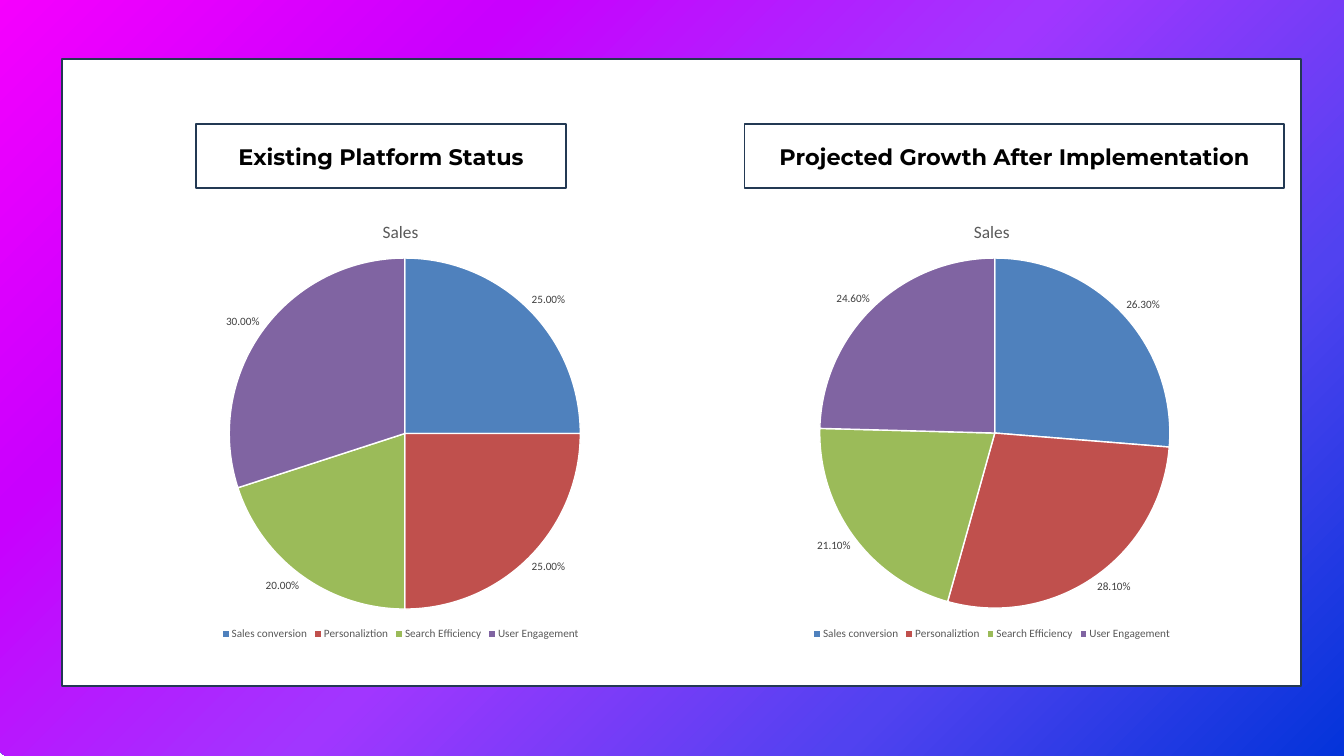
from lxml import etree
from pptx import Presentation
from pptx import util as u
from pptx.chart.data import CategoryChartData
from pptx.dml.color import RGBColor
from pptx.enum import chart as charts, shapes, text
from pptx.oxml import ns

COLORS = {
    "panel": "FFFFFF", "outline": "233953", "heading": "000000",
    "caption": "595959", "label": "404040",
}
GRADIENT = ["F600FE", "C900FE", "A136FF", "5142F0", "0033D9"]
SLICES = ["4F81BD", "C0504D", "9BBB59", "8064A2"]
METRICS = ["Sales conversion", "Personaliztion", "Search Efficiency", "User Engagement"]
COMPARISON = [
    {"heading": "Existing Platform Status", "heading_box": (2.92, 1.85, 5.5, 0.95),
     "pie_box": (1.75, 3.04, 8.42, 6.53), "shares": [0.25, 0.25, 0.2, 0.3]},
    {"heading": "Projected Growth After Implementation", "heading_box": (11.08, 1.85, 8.03, 0.95),
     "pie_box": (10.46, 3.04, 8.6, 6.53), "shares": [0.263, 0.281, 0.211, 0.246]},
]


def rgb(name):
    """Return the named colour."""
    return RGBColor.from_string(COLORS[name])


def format_font(font, color, **values):
    """Set the font colour and every given font attribute."""
    font.color.rgb = rgb(color)
    for attribute, value in values.items():
        setattr(font, attribute, value)


def add_backdrop(slide, box):
    """Fill the box with a gradient that spreads from its top left corner."""
    backdrop = slide.shapes.add_shape(
        shapes.MSO_SHAPE.ROUNDED_RECTANGLE, *map(u.Inches, box))
    backdrop.adjustments[0] = 0.01
    backdrop.shadow.inherit = False
    backdrop.line.fill.background()
    backdrop.fill.gradient()
    gradient = backdrop.fill._fill._gradFill
    for part in list(gradient):
        gradient.remove(part)
    stops = etree.SubElement(gradient, ns.qn("a:gsLst"))
    for index, color in enumerate(GRADIENT):
        stop = etree.SubElement(stops, ns.qn("a:gs"), pos=str(index * 25000))
        etree.SubElement(stop, ns.qn("a:srgbClr"), val=color)
    spread = etree.SubElement(gradient, ns.qn("a:path"), {"path": "circle"})
    etree.SubElement(spread, ns.qn("a:fillToRect"), r="100000", b="100000")


def add_panel(slide, box):
    """Add a white outlined rectangle and return it."""
    panel = slide.shapes.add_shape(shapes.MSO_SHAPE.RECTANGLE, *map(u.Inches, box))
    panel.shadow.inherit = False
    panel.fill.solid()
    panel.fill.fore_color.rgb = rgb("panel")
    panel.line.color.rgb = rgb("outline")
    panel.line.width = u.Pt(2)
    return panel


def add_heading(slide, box, wording):
    """Add a panel with a centred bold heading."""
    frame = add_panel(slide, box).text_frame
    frame.vertical_anchor = text.MSO_ANCHOR.MIDDLE
    frame.word_wrap = True
    paragraph = frame.paragraphs[0]
    paragraph.alignment = text.PP_ALIGN.CENTER
    run = paragraph.add_run()
    run.text = wording
    format_font(run.font, "heading", name="Montserrat", size=u.Pt(24), bold=True)


def add_sales_pie(slide, box, shares):
    """Add a pie of the sales metrics with a title, labels and a legend."""
    sales = CategoryChartData(number_format="0.00%")
    sales.categories = METRICS
    sales.add_series("Sales", shares)
    pie = slide.shapes.add_chart(
        charts.XL_CHART_TYPE.PIE, *map(u.Inches, box), sales).chart
    format_font(pie.font, "heading", name="Calibri", size=u.Pt(10))

    pie.has_title = True
    title = pie.chart_title.text_frame.paragraphs[0].add_run()
    title.text = "Sales"
    format_font(title.font, "caption", name="Calibri", size=u.Pt(18.6), bold=False)

    pie.has_legend = True
    pie.legend.position = charts.XL_LEGEND_POSITION.BOTTOM
    pie.legend.include_in_layout = False
    format_font(pie.legend.font, "caption", name="Calibri", size=u.Pt(12))

    plot = pie.plots[0]
    plot.vary_by_categories = True
    series = plot.series[0]
    labels = series.data_labels
    label_format = {
        "show_value": True, "show_percentage": False,
        "number_format": "0.00%", "number_format_is_linked": False,
        "position": charts.XL_LABEL_POSITION.OUTSIDE_END,
    }
    for attribute, value in label_format.items():
        setattr(labels, attribute, value)
    format_font(labels.font, "label", name="Calibri", size=u.Pt(12))

    for index, color in enumerate(SLICES):
        piece = series.points[index].format
        piece.fill.solid()
        piece.fill.fore_color.rgb = RGBColor.from_string(color)
        piece.line.color.rgb = rgb("panel")
        piece.line.width = u.Pt(1.5)


def main():
    """Build the comparison slide and save it."""
    deck = Presentation()
    deck.slide_width, deck.slide_height = u.Inches(20), u.Inches(11.25)
    slide = deck.slides.add_slide(deck.slide_layouts[6])
    add_backdrop(slide, (0, -0.21, 20.33, 11.46))
    add_panel(slide, (0.92, 0.88, 18.44, 9.33))
    for side in COMPARISON:
        add_sales_pie(slide, side["pie_box"], side["shares"])
    for side in COMPARISON:
        add_heading(slide, side["heading_box"], side["heading"])
    deck.save("out.pptx")


if __name__ == "__main__":
    main()
